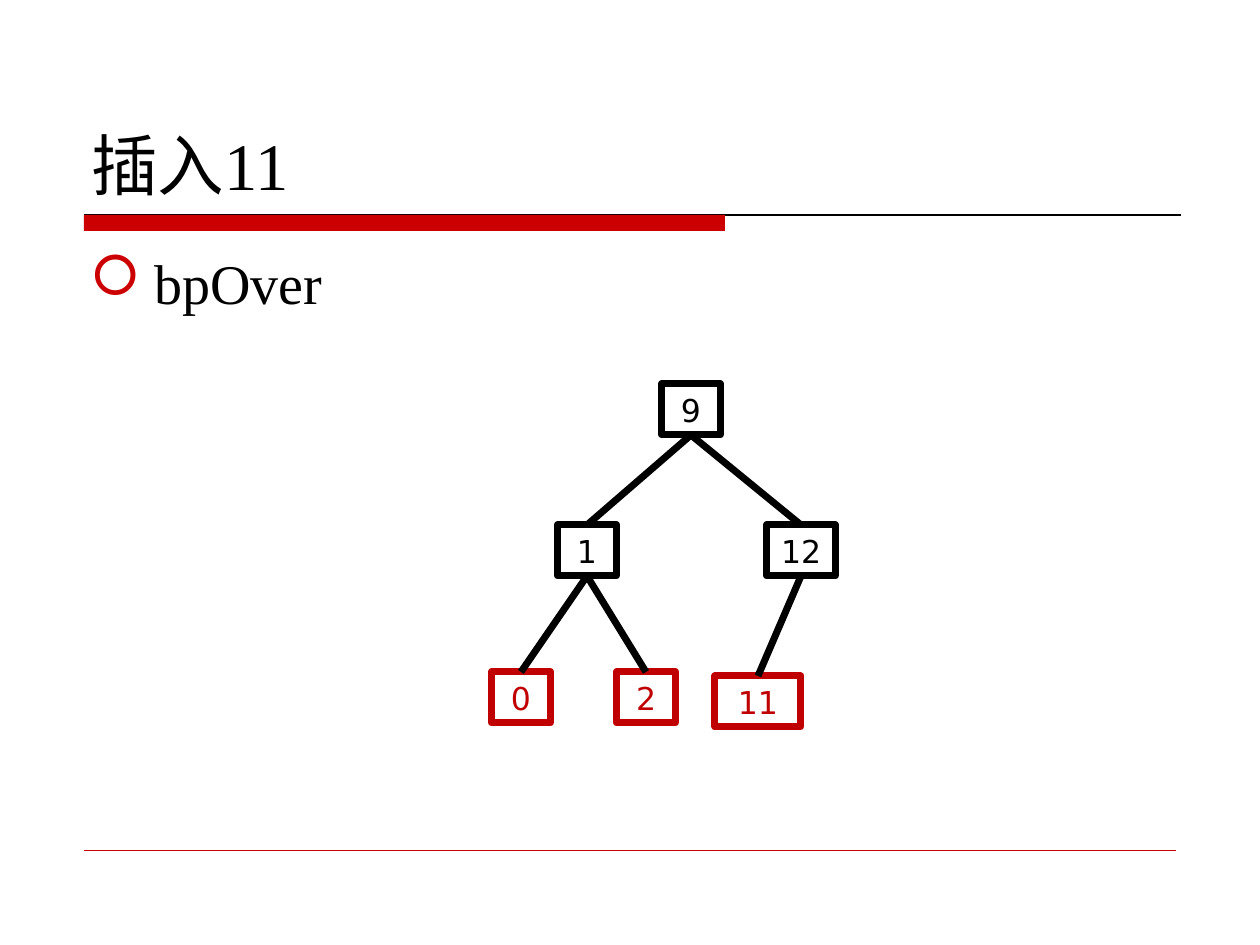
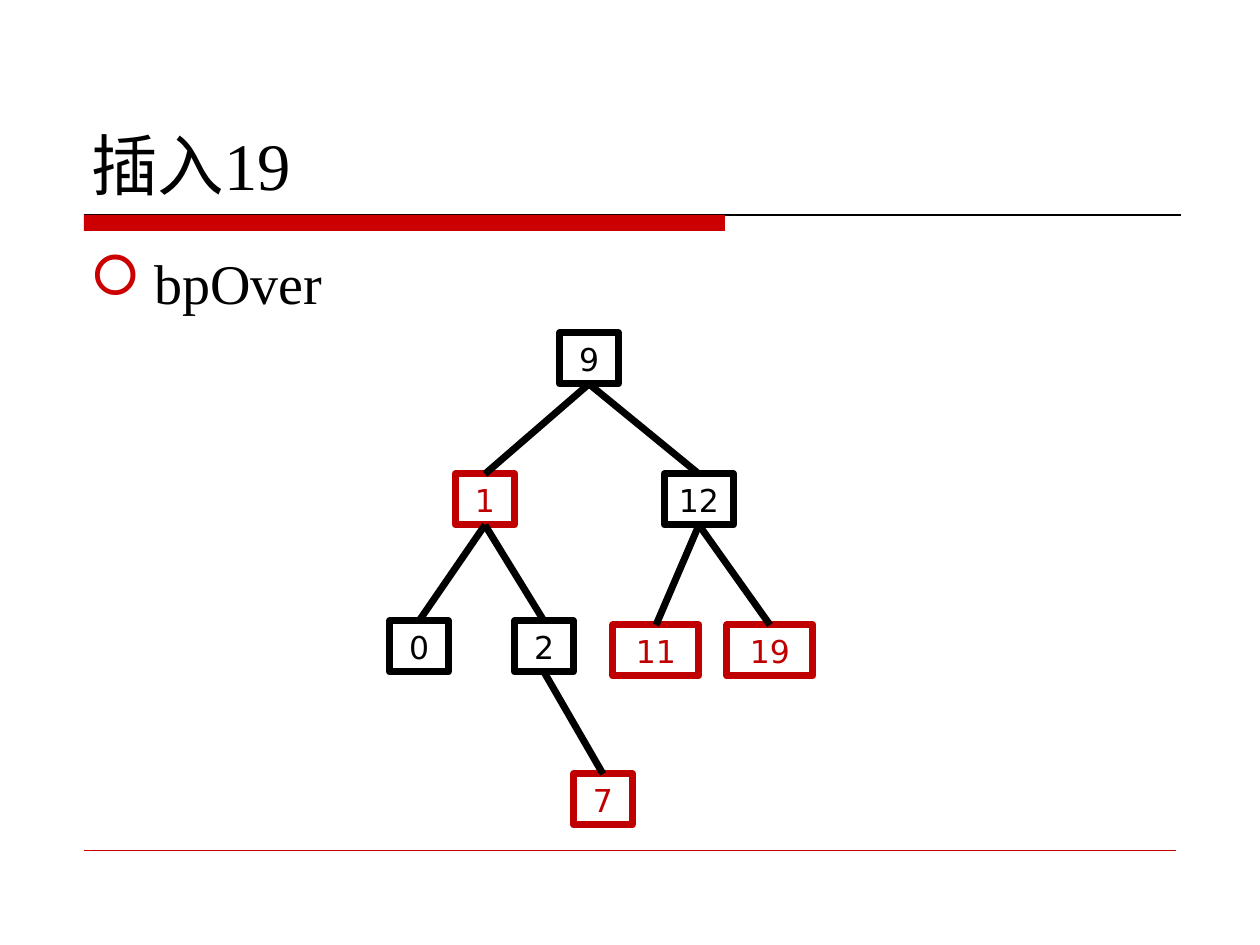
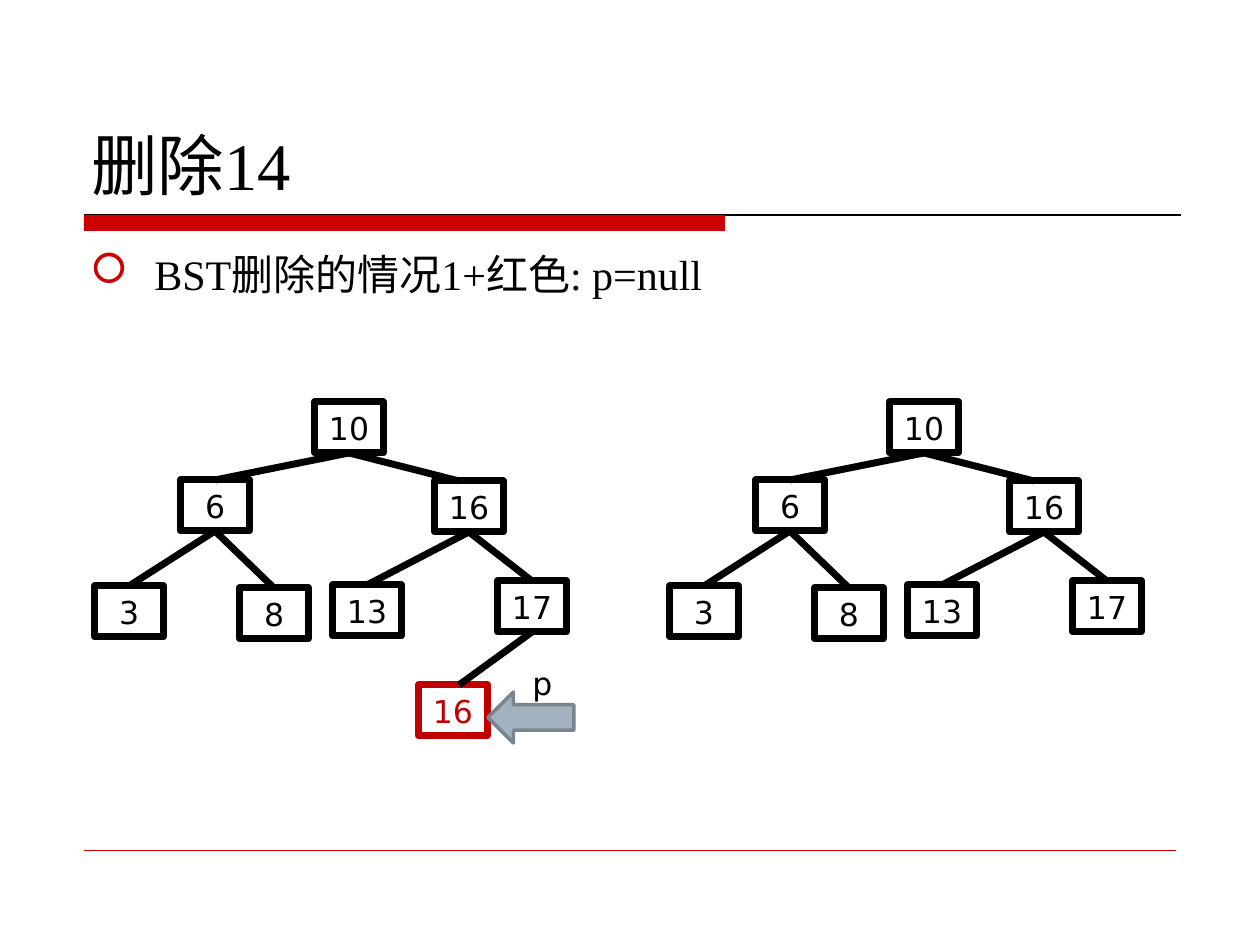
from dataclasses import dataclass

import pptx
import pptx.dml.color
import pptx.enum.shapes
import pptx.enum.text
import pptx.oxml.ns
import pptx.util
from lxml import etree

PX = pptx.util.Inches(1) / 126
SHAPES = pptx.enum.shapes.MSO_SHAPE
ANCHOR = pptx.enum.text.MSO_ANCHOR
ALIGN = pptx.enum.text.PP_ALIGN


@dataclass(frozen=True)
class Theme:
    black: str = "000000"
    accent: str = "CC0000"
    red_node: str = "C00000"
    pointer_fill: str = "A3B2C1"
    pointer_line: str = "79848F"
    text_font: str = "Times New Roman"
    node_font: str = "DejaVu Sans"
    title_size: int = 38
    node_size: int = 18
    node_line: float = 4


THEME = Theme()
NODE_HEIGHT = 51
NARROW, MEDIUM, WIDE = 59, 69, 86

# Node name: (value, centre x, top, width, parent)
INSERT_TREE = {
    "9": ("9", 691, 384, NARROW, None),
    "1": ("1", 587, 525, NARROW, "9"),
    "12": ("12", 801, 525, MEDIUM, "9"),
    "0": ("0", 521, 672, NARROW, "1"),
    "2": ("2", 646, 672, NARROW, "1"),
    "11": ("11", 758, 676, WIDE, "12"),
}
GROWN_TREE = INSERT_TREE | {
    "7": ("7", 705, 825, NARROW, "2"),
    "19": ("19", 872, 676, WIDE, "12"),
}
DELETED_TREE = {
    "10": ("10", 349, 402, MEDIUM, None),
    "6": ("6", 215, 480, MEDIUM, "10"),
    "16": ("16", 469, 481, MEDIUM, "10"),
    "3": ("3", 129, 586, MEDIUM, "6"),
    "8": ("8", 274, 588, MEDIUM, "6"),
    "13": ("13", 367, 585, MEDIUM, "16"),
    "17": ("17", 532, 581, MEDIUM, "16"),
}
DELETING_TREE = DELETED_TREE | {"removed": ("16", 453, 685, MEDIUM, "17")}

# Sideways shift of the point where an edge meets the child
EDGE_SHIFT = {"16": -10, "removed": 6}

# Each tree: (nodes, names of red nodes, shift right, shift down)
SLIDES = [
    {"title": "插入11", "body": "bpOver", "body_size": 32,
     "trees": [(INSERT_TREE, {"0", "2", "11"}, 0, 0)]},
    {"title": "插入19", "body": "bpOver", "body_size": 32,
     "trees": [(GROWN_TREE, {"1", "11", "19", "7"}, -102, -51)]},
    {"title": "删除14", "body": "BST删除的情况1+红色: p=null", "body_size": 24,
     "trees": [(DELETING_TREE, {"removed"}, 0, 0), (DELETED_TREE, set(), 575, 0)],
     "pointer": "p"},
]


def px(*lengths):
    return [round(length * PX) for length in lengths]


def rgb(color):
    return pptx.dml.color.RGBColor.from_string(color)


def set_text(shape, text, font, size, color=THEME.black, align=ALIGN.LEFT, anchor=ANCHOR.TOP):
    frame = shape.text_frame
    frame.text = text
    frame.word_wrap = True
    frame.vertical_anchor = anchor
    paragraph = frame.paragraphs[0]
    paragraph.alignment = align
    for run in paragraph.runs:
        run.font.name = font
        run.font.size = pptx.util.Pt(size)
        run.font.color.rgb = rgb(color)
    return paragraph


def add_line(slide, start, end, color, width):
    line = slide.shapes.add_connector(
        pptx.enum.shapes.MSO_CONNECTOR.STRAIGHT, *px(*start, *end))
    line.line.color.rgb = rgb(color)
    line.line.width = pptx.util.Pt(width)
    etree.SubElement(line._element.spPr, pptx.oxml.ns.qn("a:effectLst"))


def add_block(slide, kind, box, fill=None, line=None, width=0):
    block = slide.shapes.add_shape(kind, *px(*box))
    block.shadow.inherit = False
    if fill:
        block.fill.solid()
        block.fill.fore_color.rgb = rgb(fill)
    else:
        block.fill.background()
    if line:
        block.line.color.rgb = rgb(line)
        block.line.width = pptx.util.Pt(width)
        etree.SubElement(block.line._get_or_add_ln(), pptx.oxml.ns.qn("a:round"))
    else:
        block.line.fill.background()
    return block


def add_bullet(paragraph):
    properties = paragraph._p.get_or_add_pPr()
    indent = px(64)[0]
    properties.set("marL", str(indent))
    properties.set("indent", str(-indent))
    color = etree.SubElement(properties, pptx.oxml.ns.qn("a:buClr"))
    etree.SubElement(color, pptx.oxml.ns.qn("a:srgbClr"), val=THEME.accent)
    etree.SubElement(properties, pptx.oxml.ns.qn("a:buFont"), typeface="Wingdings")
    etree.SubElement(properties, pptx.oxml.ns.qn("a:buChar"), char="□")


def add_frame(slide, title, body, body_size):
    """Draw the title, band, rules and bulleted line that every slide has."""
    add_line(slide, (84, 215), (1181, 215), THEME.black, 0.75)
    add_block(slide, SHAPES.RECTANGLE, (84, 215, 641, 16), fill=THEME.accent)
    add_line(slide, (84, 850), (1176, 850), THEME.accent, 0.25)
    title_box = slide.shapes.add_textbox(*px(79, 42, 1103, 168))
    set_text(title_box, title, THEME.text_font, THEME.title_size, anchor=ANCHOR.BOTTOM)
    body_box = slide.shapes.add_textbox(*px(78, 242, 1103, 588))
    add_bullet(set_text(body_box, body, THEME.text_font, body_size))


def add_tree(slide, nodes, red_names, right, down):
    for name, (value, center, top, width, _) in nodes.items():
        color = THEME.red_node if name in red_names else THEME.black
        box = (center - width / 2 + right, top + down, width, NODE_HEIGHT)
        node = add_block(slide, SHAPES.RECTANGLE, box, line=color, width=THEME.node_line)
        frame = node.text_frame
        frame.margin_left = frame.margin_right = 0
        set_text(node, value, THEME.node_font, THEME.node_size, color,
                 ALIGN.CENTER, ANCHOR.MIDDLE)
    for name, (_, center, top, _, parent) in nodes.items():
        if parent:
            _, parent_center, parent_top, _, _ = nodes[parent]
            start = (parent_center + right, parent_top + NODE_HEIGHT + down)
            end = (center + EDGE_SHIFT.get(name, 0) + right, top + down)
            add_line(slide, start, end, THEME.black, THEME.node_line)


def add_pointer(slide, label):
    add_block(slide, SHAPES.LEFT_ARROW, (488, 692, 86, 51),
              THEME.pointer_fill, THEME.pointer_line, 2)
    label_box = slide.shapes.add_textbox(*px(494, 658, 97, 51))
    set_text(label_box, label, THEME.node_font, THEME.node_size, align=ALIGN.CENTER)


def main():
    presentation = pptx.Presentation()
    presentation.slide_width, presentation.slide_height = px(1260, 945)
    for content in SLIDES:
        slide = presentation.slides.add_slide(presentation.slide_layouts[6])
        add_frame(slide, content["title"], content["body"], content["body_size"])
        for tree in content["trees"]:
            add_tree(slide, *tree)
        if "pointer" in content:
            add_pointer(slide, content["pointer"])
    presentation.save("out.pptx")


if __name__ == "__main__":
    main()
